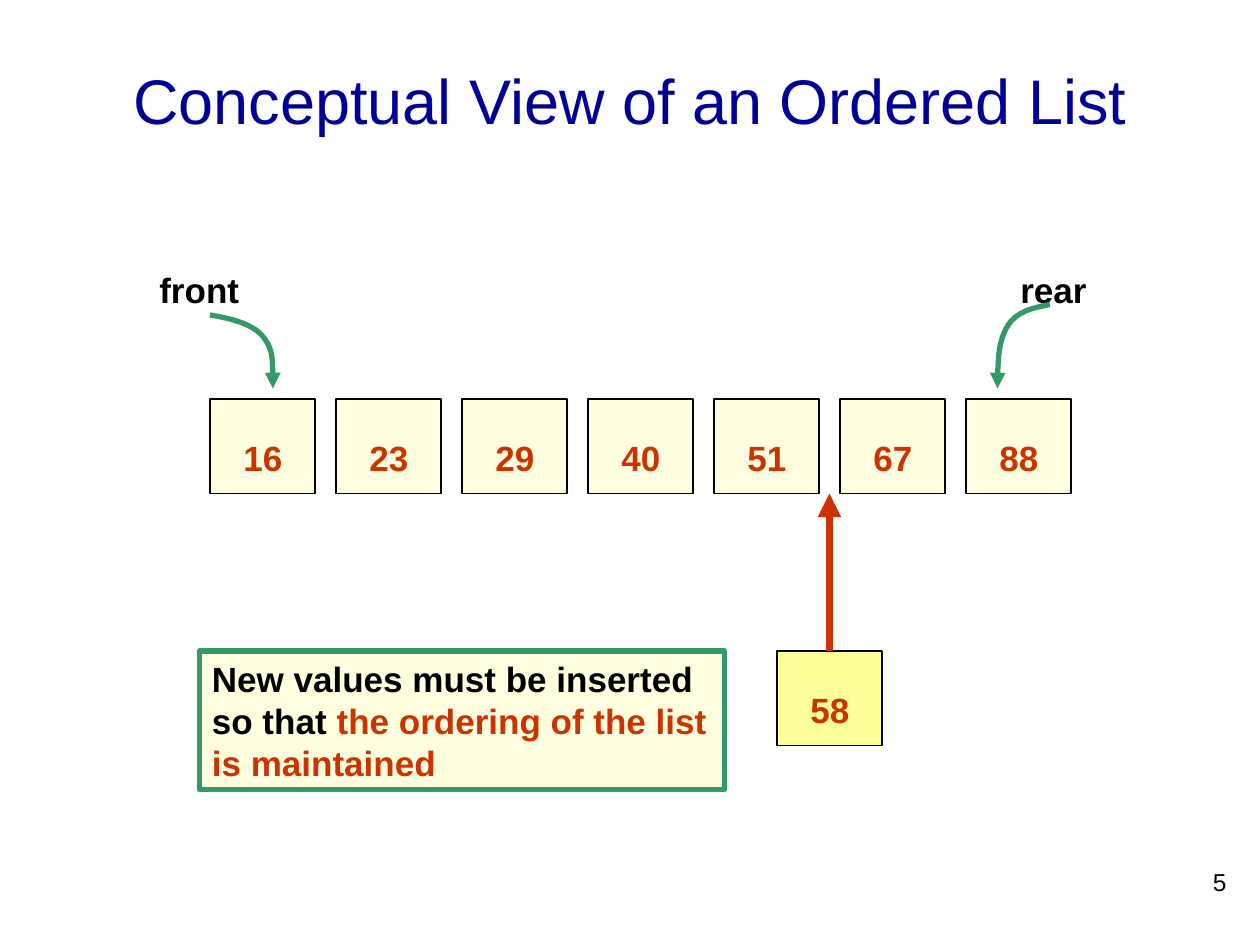
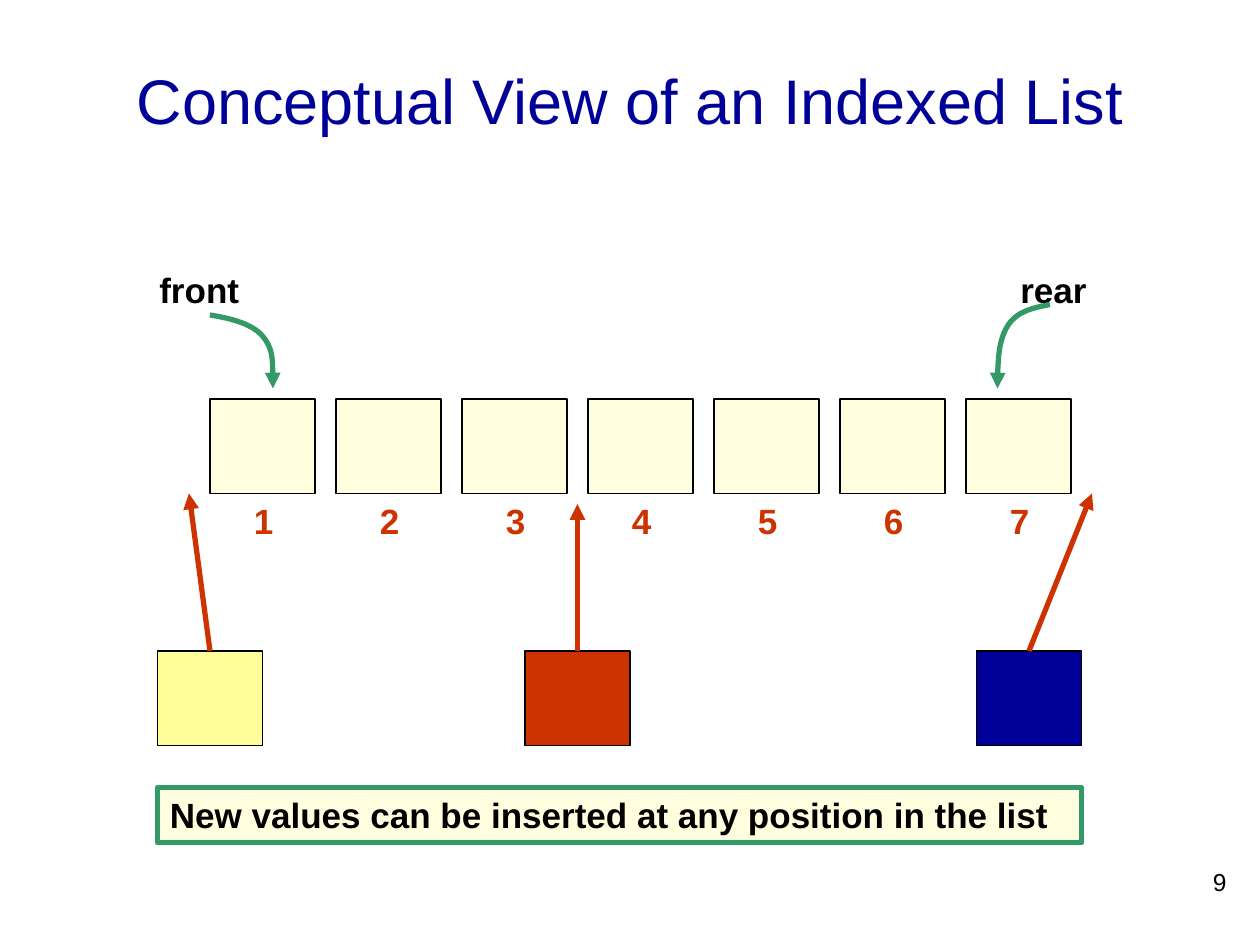
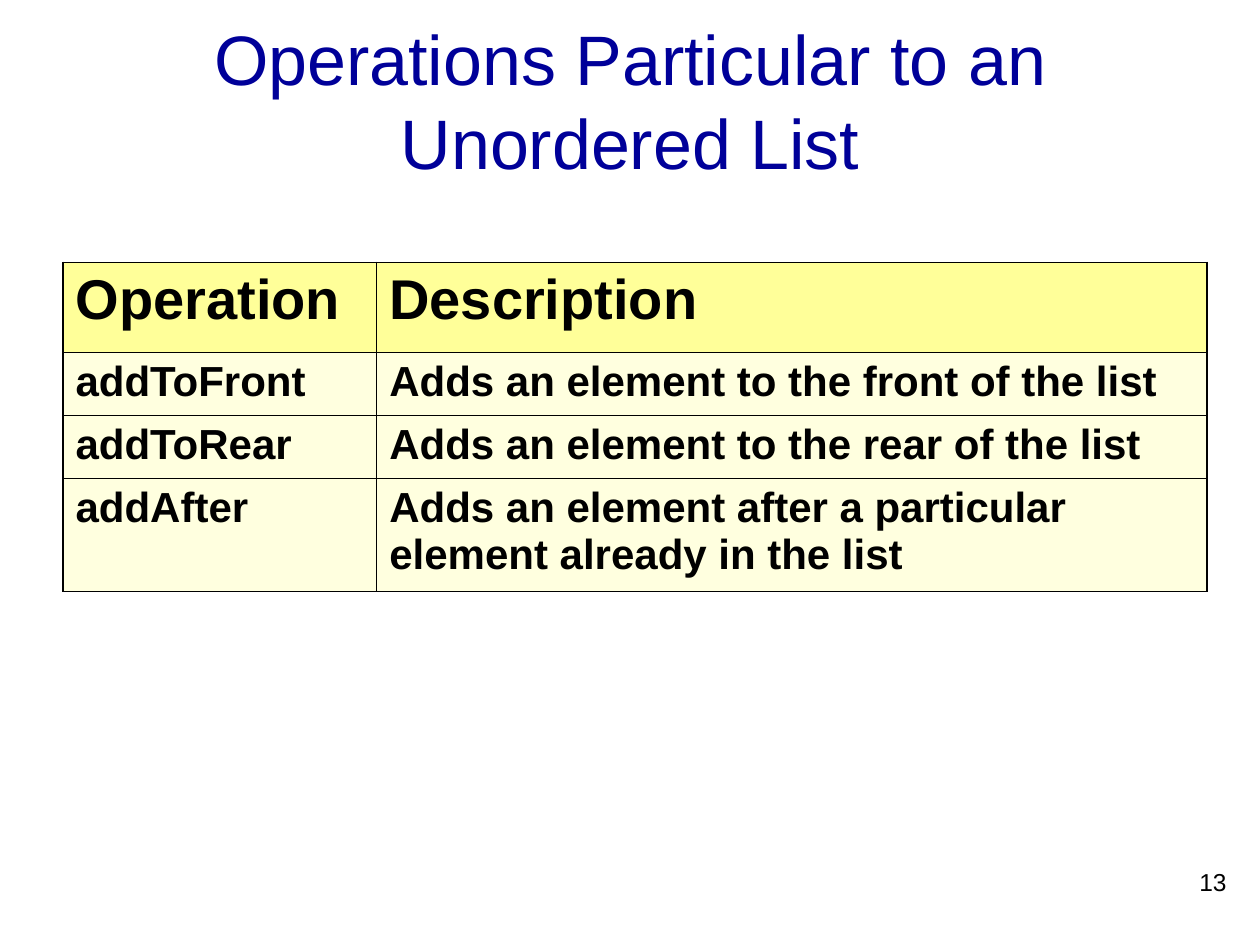
from dataclasses import dataclass

from lxml import etree
from pptx import Presentation
from pptx.dml.color import RGBColor
from pptx.enum.shapes import MSO_CONNECTOR, MSO_SHAPE
from pptx.enum.text import MSO_ANCHOR, PP_ALIGN
from pptx.oxml.ns import qn
from pptx.util import Pt

STRAIGHT = MSO_CONNECTOR.STRAIGHT
RECTANGLE = MSO_SHAPE.RECTANGLE
TOP, MIDDLE = MSO_ANCHOR.TOP, MSO_ANCHOR.MIDDLE
LEFT, CENTER, RIGHT = PP_ALIGN.LEFT, PP_ALIGN.CENTER, PP_ALIGN.RIGHT


@dataclass(frozen=True)
class Theme:
    font: str = "Arial"
    ink: str = "000000"
    navy: str = "000099"
    red: str = "CC3300"
    green: str = "339966"
    cream: str = "FFFFDF"
    yellow: str = "FFFF99"
    title: int = 36
    big_title: int = 40
    label: int = 20
    number: int = 14
    table_head: int = 32
    table_body: int = 24
    thin: float = 1
    medium: float = 3
    thick: float = 4.5
    table_outer: float = 1.08
    table_inner: float = 0.45


THEME = Theme()
TITLE_BOX = (54, 12, 612, 90)
NUMBER_BOX = (558, 492, 150, 36)
LIST_BOX = (120, 228, 492, 54)
TABLE_BOX = (36, 150, 653.8, 187.9)
CELL_WIDTH, CELL_HEIGHT, CELL_STEP, CELL_COUNT = 60, 54, 72, 7
LABEL_HEIGHT = 31.7
FRONT_CURVE = [(0, -48), (12, -46), (24, -43), (30, -36),
               (36, -29), (36, -18), (36, -6)]
REAR_CURVE = [(480, -54), (470, -52), (461, -50), (456, -42),
              (451, -34), (450, -20), (450, -6)]
OPERATIONS = [
    ("Operation", "Description"),
    ("addToFront", "Adds an element to the front of the list"),
    ("addToRear", "Adds an element to the rear of the list"),
    ("addAfter", "Adds an element after a particular element already in the list"),
]
COLUMN_WIDTHS = (179.3, 474.5)
ROW_HEIGHTS = (51.1, 36, 36, 64.8)


def assign(target, values):
    for name, value in values.items():
        setattr(target, name, value)


def points(values):
    return [Pt(value) for value in values]


def write(frame, spans, size, bold=False, align=LEFT, anchor=TOP):
    assign(frame, {"word_wrap": True, "vertical_anchor": anchor})
    para = frame.paragraphs[0]
    para.alignment = align
    for text, color in spans:
        span = para.add_run()
        span.text = text
        assign(span.font, {"name": THEME.font, "size": Pt(size), "bold": bold})
        span.font.color.rgb = RGBColor.from_string(color)


def add_text(page, box, text, size, color=THEME.ink, **style):
    shape = page.shapes.add_textbox(*points(box))
    write(shape.text_frame, [(text, color)], size, **style)


def add_label(page, box, text, color=THEME.ink):
    add_text(page, box, text, THEME.label, color, bold=True)


def set_line(line, color, width):
    line.color.rgb = RGBColor.from_string(color)
    line.width = Pt(width)


def add_rectangle(page, box, fill, line=THEME.ink, width=THEME.thin):
    shape = page.shapes.add_shape(RECTANGLE, *points(box))
    shape.shadow.inherit = False
    shape.fill.solid()
    shape.fill.fore_color.rgb = RGBColor.from_string(fill)
    set_line(shape.line, line, width)
    return shape


def add_note(page, box, spans):
    shape = add_rectangle(page, box, THEME.cream, THEME.green, THEME.medium)
    write(shape.text_frame, spans, THEME.label, bold=True)


def add_arrowhead(shape):
    line = shape.line._get_or_add_ln()
    etree.SubElement(line, qn("a:tailEnd"), type="triangle")


def add_curve(page, origin, offsets):
    left, top = origin
    vertices = [(Pt(left + x), Pt(top + y)) for x, y in offsets]
    builder = page.shapes.build_freeform(*vertices[0])
    builder.add_line_segments(vertices[1:], close=False)
    curve = builder.convert_to_shape()
    segments = list(curve._element.iter(qn("a:lnTo")))
    outline = segments[0].getparent()
    for start in range(0, len(segments), 3):
        bezier = etree.SubElement(outline, qn("a:cubicBezTo"))
        for segment in segments[start:start + 3]:
            bezier.append(segment[0])
            outline.remove(segment)
    curve.shadow.inherit = False
    curve.fill.background()
    set_line(curve.line, THEME.green, THEME.medium)
    add_arrowhead(curve)


def add_insertion(page, left, top, fill, target, width):
    cell = add_rectangle(page, (left, top, CELL_WIDTH, CELL_HEIGHT), fill)
    start = (left + CELL_WIDTH / 2, top)
    arrow = page.shapes.add_connector(STRAIGHT, *points(start + target))
    arrow.begin_connect(cell, 0)
    set_line(arrow.line, THEME.red, width)
    add_arrowhead(arrow)
    etree.SubElement(arrow._element.spPr, qn("a:effectLst"))


def add_list(page, box, labels, label_offset):
    left, top, _, height = box
    shift_x, shift_y = label_offset
    for index, label in enumerate(labels):
        x = left + index * CELL_STEP
        add_rectangle(page, (x, top, CELL_WIDTH, height), THEME.cream)
        add_label(page, (x + shift_x, top + shift_y, 48, LABEL_HEIGHT),
                  str(label), THEME.red)
    for text, offset, curve in (("front", -36, FRONT_CURVE),
                                ("rear", 456, REAR_CURVE)):
        add_label(page, (left + offset, top - 78, 78, LABEL_HEIGHT), text)
        add_curve(page, (left, top), curve)


def add_page(deck, title, number, size=THEME.title):
    page = deck.slides.add_slide(deck.slide_layouts[6])
    add_text(page, TITLE_BOX, title, size, THEME.navy,
             align=CENTER, anchor=MIDDLE)
    add_text(page, NUMBER_BOX, str(number), THEME.number, align=RIGHT)
    return page


def add_ordered_page(deck):
    page = add_page(deck, "Conceptual View of an Ordered List", 5)
    add_list(page, LIST_BOX, (16, 23, 29, 40, 51, 67, 88), (12, 18))
    add_insertion(page, 444, 372, THEME.yellow, (474, 282), THEME.thick)
    add_label(page, (456, 390, 48, LABEL_HEIGHT), "58", THEME.red)
    add_note(page, (114, 372, 300, 79.2), [
        ("New values must be inserted so that ", THEME.ink),
        ("the ordering of the list is maintained", THEME.red),
    ])


def add_indexed_page(deck):
    page = add_page(deck, "Conceptual View of an Indexed List", 9)
    add_list(page, LIST_BOX, range(1, CELL_COUNT + 1), (18, CELL_HEIGHT))
    for left, fill, target in ((90, THEME.yellow, (108, 282)),
                               (300, THEME.red, (330, 288)),
                               (558, THEME.navy, (624, 282))):
        add_insertion(page, left, 372, fill, target, THEME.medium)
    add_note(page, (90, 450, 528, LABEL_HEIGHT), [
        ("New values can be inserted at any position in the list", THEME.ink),
    ])


def set_borders(cell, outer_sides):
    properties = cell._tc.get_or_add_tcPr()
    for side in "LRTB":
        width = THEME.table_outer if side in outer_sides else THEME.table_inner
        line = etree.SubElement(properties, qn(f"a:ln{side}"), w=str(Pt(width)))
        fill = etree.SubElement(line, qn("a:solidFill"))
        etree.SubElement(fill, qn("a:srgbClr"), val=THEME.ink)


def add_operations_table(page, box):
    table = page.shapes.add_table(
        len(OPERATIONS), len(COLUMN_WIDTHS), *points(box)).table
    for column, width in zip(table.columns, COLUMN_WIDTHS):
        column.width = Pt(width)
    last_row, last_column = len(OPERATIONS) - 1, len(COLUMN_WIDTHS) - 1
    for r, texts in enumerate(OPERATIONS):
        table.rows[r].height = Pt(ROW_HEIGHTS[r])
        fill = THEME.cream if r else THEME.yellow
        size = THEME.table_body if r else THEME.table_head
        for c, text in enumerate(texts):
            cell = table.cell(r, c)
            edges = {"L": c == 0, "R": c == last_column,
                     "T": r == 0, "B": r == last_row}
            set_borders(cell, [side for side, outer in edges.items() if outer])
            cell.fill.solid()
            cell.fill.fore_color.rgb = RGBColor.from_string(fill)
            write(cell.text_frame, [(text, THEME.ink)], size, bold=True)


def add_operations_page(deck):
    page = add_page(deck, "Operations Particular to an Unordered List", 13,
                    THEME.big_title)
    add_operations_table(page, TABLE_BOX)


def main():
    deck = Presentation()
    assign(deck, {"slide_width": Pt(720), "slide_height": Pt(540)})
    add_ordered_page(deck)
    add_indexed_page(deck)
    add_operations_page(deck)
    deck.save("out.pptx")


if __name__ == "__main__":
    main()
